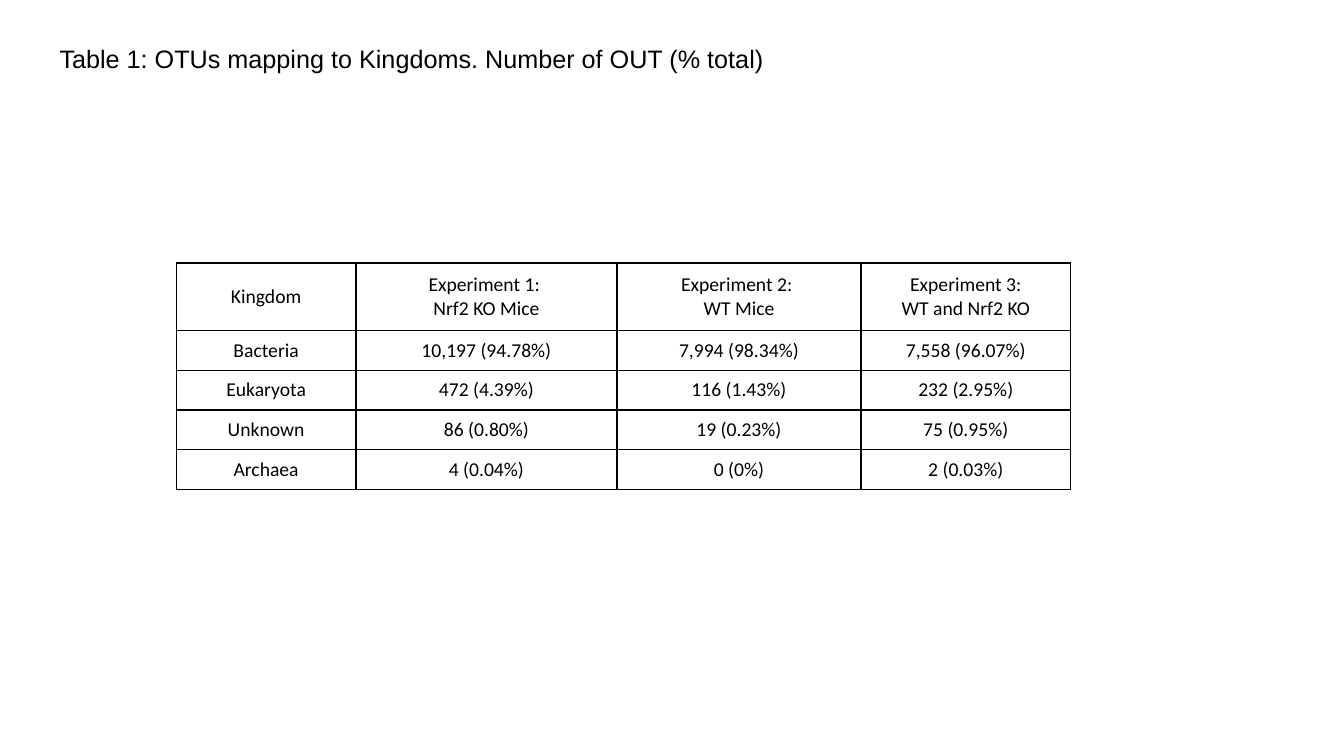
from dataclasses import dataclass

from lxml import etree
from pptx import Presentation
from pptx.dml.color import RGBColor
from pptx.enum.text import MSO_ANCHOR, MSO_AUTO_SIZE, PP_ALIGN
from pptx.oxml.ns import qn
from pptx.util import Inches, Pt

LEFT, CENTER = PP_ALIGN.LEFT, PP_ALIGN.CENTER
MIDDLE, TOP = MSO_ANCHOR.MIDDLE, MSO_ANCHOR.TOP
FIT_SHAPE = MSO_AUTO_SIZE.SHAPE_TO_FIT_TEXT
TITLE_ONLY = 5


@dataclass(frozen=True)
class Theme:
    """Colours, fonts and type sizes of the slide."""
    ink: str = "000000"
    title_font: str = "Arial"
    title_size: int = 18
    table_font: str = "Calibri"
    table_size: int = 14
    border_width: int = 1


THEME = Theme()
TITLE = "Table 1: OTUs mapping to Kingdoms. Number of OUT (% total)"
TITLE_BOX = (0.49, 0.38, 7.25, 0.4)
TABLE_BOX = (1.75, 2.61, 8.87, 2.15)
COLUMN_WIDTHS = (1.78, 2.59, 2.42, 2.08)
HEADER_HEIGHT = 0.67
HEADER_MARGINS = (0.19, 0.1)
BODY_MARGINS = (0.1, 0.08)
KINGDOM_ROWS = (
    ("Kingdom", "Experiment 1: \nNrf2 KO Mice", "Experiment 2: \nWT Mice",
     "Experiment 3:\nWT and Nrf2 KO"),
    ("Bacteria", "10,197 (94.78%)", "7,994 (98.34%)", "7,558 (96.07%)"),
    ("Eukaryota", "472 (4.39%)", "116 (1.43%)", "232 (2.95%)"),
    ("Unknown", "86 (0.80%)", "19 (0.23%)", "75 (0.95%)"),
    ("Archaea", "4 (0.04%)", "0 (0%)", "2 (0.03%)"),
)


def set_all(target, values):
    """Set each named attribute of the target."""
    for name, value in values.items():
        setattr(target, name, value)


def write_text(frame, text, align, font_name, size):
    """Write the lines of text as paragraphs in one font."""
    frame.text = text
    for para in frame.paragraphs:
        para.alignment = align
        for span in para.runs:
            set_all(span.font, {"name": font_name, "size": Pt(size)})
            span.font.color.rgb = RGBColor.from_string(THEME.ink)


def add_borders(cell):
    """Draw a solid line on all four sides of the cell."""
    properties = cell._tc.get_or_add_tcPr()
    for side in ("a:lnL", "a:lnR", "a:lnT", "a:lnB"):
        line = etree.SubElement(properties, qn(side), w=str(Pt(THEME.border_width)))
        fill = etree.SubElement(line, qn("a:solidFill"))
        etree.SubElement(fill, qn("a:srgbClr"), val=THEME.ink)


def add_title(page, box):
    """Place the table caption in the title placeholder."""
    title = page.shapes.title
    set_all(title, dict(zip(("left", "top", "width", "height"), map(Inches, box))))
    frame = title.text_frame
    write_text(frame, TITLE, LEFT, THEME.title_font, THEME.title_size)
    set_all(frame, {
        "word_wrap": False, "auto_size": FIT_SHAPE, "vertical_anchor": TOP,
        "margin_left": Inches(0.1), "margin_right": Inches(0.1),
        "margin_top": Inches(0.05), "margin_bottom": Inches(0.05),
    })


def add_kingdom_table(page, box):
    """Place the bordered table of kingdoms and experiments in the box."""
    row_count = len(KINGDOM_ROWS)
    table = page.shapes.add_table(
        row_count, len(COLUMN_WIDTHS), *map(Inches, box)).table
    set_all(table, {"first_row": False, "horz_banding": False})
    for column, width in zip(table.columns, COLUMN_WIDTHS):
        column.width = Inches(width)
    body_height = (box[3] - HEADER_HEIGHT) / (row_count - 1)
    for index, texts in enumerate(KINGDOM_ROWS):
        row = table.rows[index]
        row.height = Inches(body_height if index else HEADER_HEIGHT)
        side, edge = map(Inches, BODY_MARGINS if index else HEADER_MARGINS)
        for cell, text in zip(row.cells, texts):
            write_text(cell.text_frame, text, CENTER,
                       THEME.table_font, THEME.table_size)
            set_all(cell, {
                "vertical_anchor": MIDDLE,
                "margin_left": side, "margin_right": side,
                "margin_top": edge, "margin_bottom": edge,
            })
            add_borders(cell)
            cell.fill.background()


def main():
    """Build the deck and save it."""
    deck = Presentation()
    set_all(deck, {"slide_width": Inches(13.33), "slide_height": Inches(7.5)})
    page = deck.slides.add_slide(deck.slide_layouts[TITLE_ONLY])
    add_title(page, TITLE_BOX)
    add_kingdom_table(page, TABLE_BOX)
    deck.save("out.pptx")


if __name__ == "__main__":
    main()
